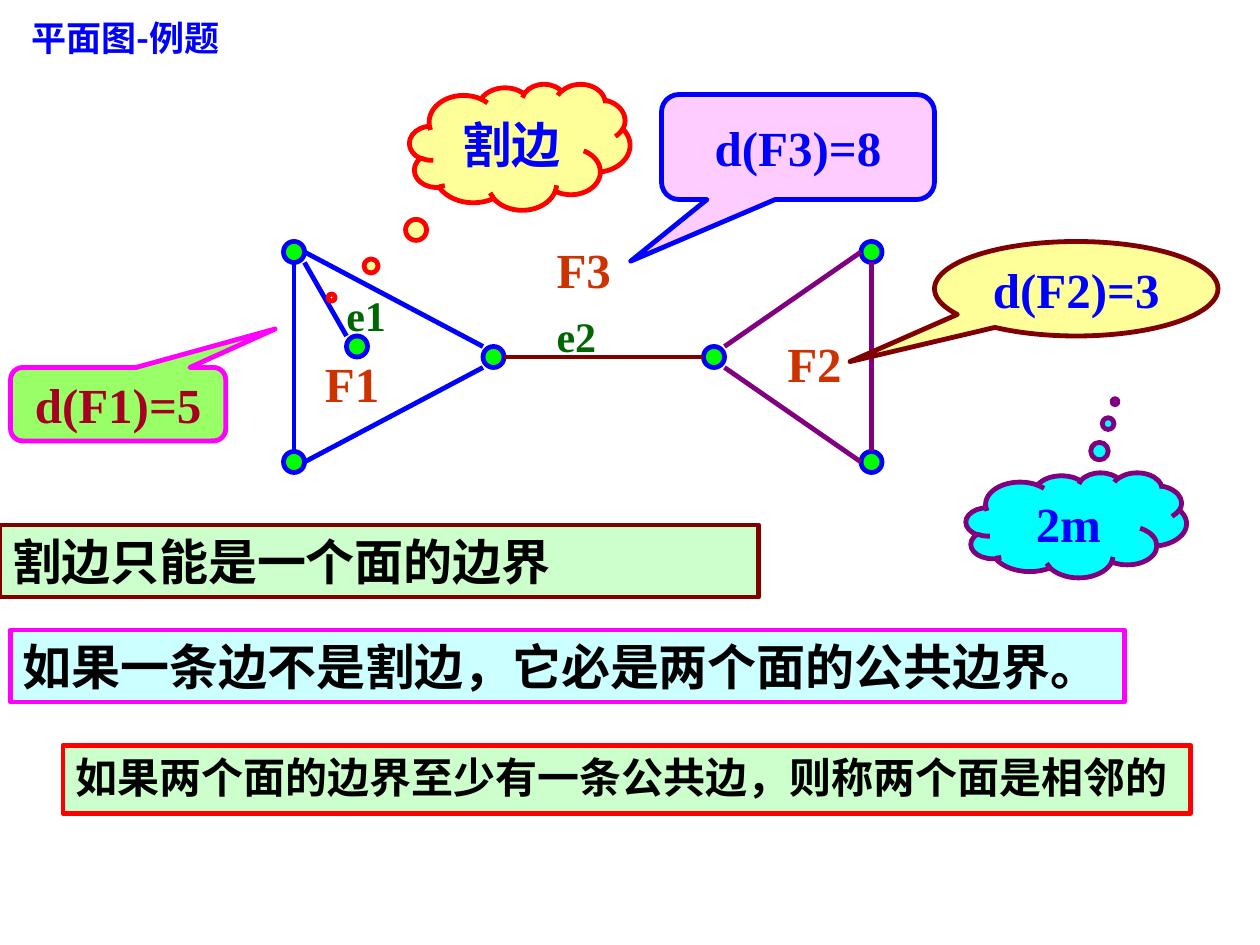
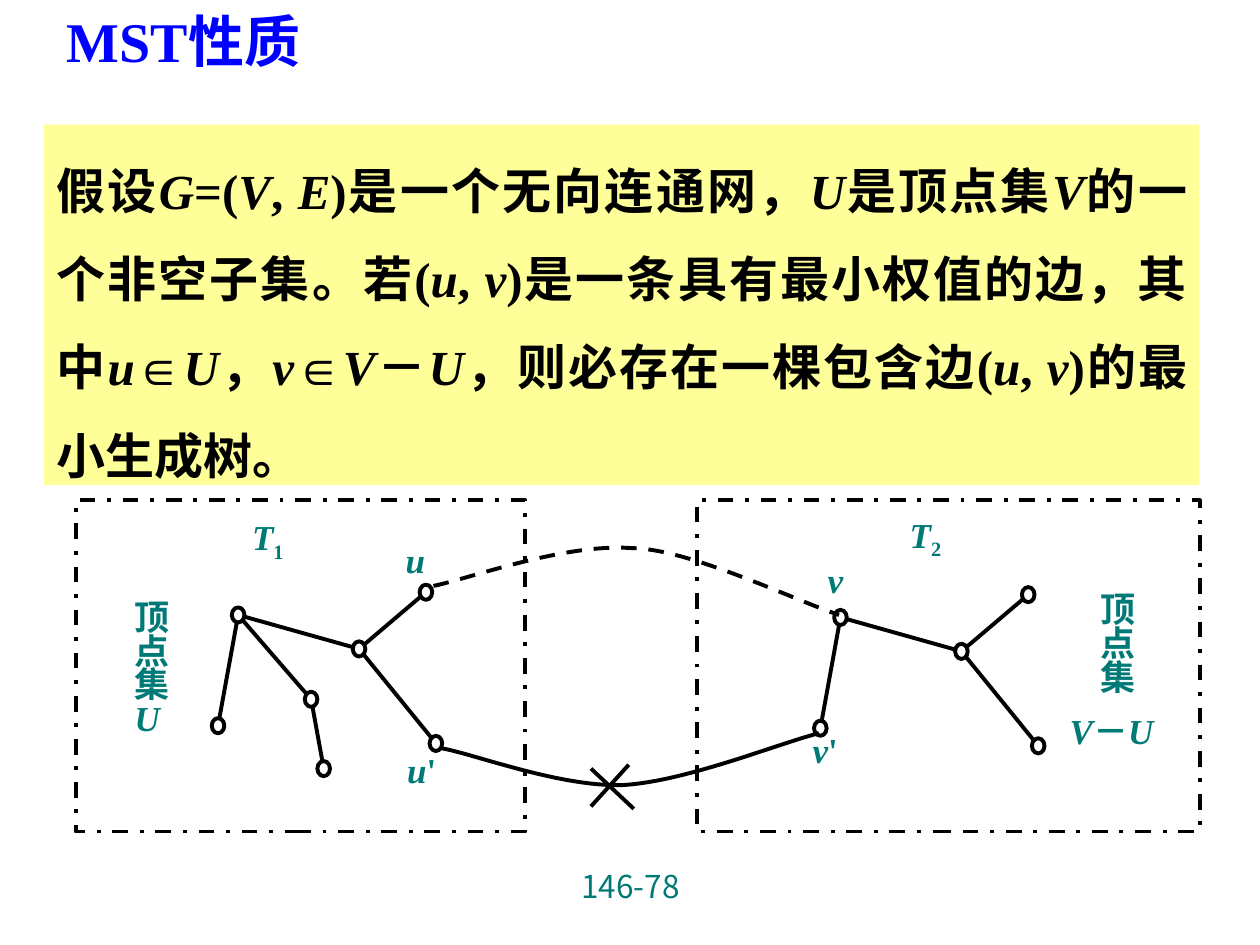
from math import hypot

from lxml import etree
from pptx import Presentation
from pptx import util as u
from pptx.dml.color import RGBColor
from pptx.enum import dml, shapes, text
from pptx.oxml.ns import qn

Pt = u.Pt
Kind = shapes.MSO_SHAPE
Mid, Top = text.MSO_ANCHOR.MIDDLE, text.MSO_ANCHOR.TOP
Left, Center, Just = text.PP_ALIGN.LEFT, text.PP_ALIGN.CENTER, text.PP_ALIGN.JUSTIFY
Dash = dml.MSO_LINE


class Theme:
    blue, black, teal = "0000FF", "000000", "007A77"
    green, leaf, rust, wine = "00FF00", "006600", "CC3300", "A50021"
    maroon, purple, red, pink = "800000", "800080", "FF0000", "FF00FF"
    cream, mint, ice, aqua = "FFFF99", "CCFFCC", "CCFFFF", "00FFFF"
    lime, rose = "99FF66", "FFCCFF"
    serif, sans, page, plain = "Times New Roman", "Noto Sans CJK SC", "Noto Sans CJK JP", "Arial"
    small, note, body, mark, head = 18, 20, 28, 24, 32
    thick, thin = 2.75, 2.25


T = Theme

FACE = dict(
    title=("平面图-例题", (10.8, 5.8, 193, 31)),
    nodes=dict(a=(168, 144), b=(168, 264), c=(282, 204), d=(408, 204),
               e=(498, 144), f=(498, 264), p=(204, 198)),
    edges=[("a", "s", "b", "n", T.blue), ("b", "e", "c", "sw", T.blue),
           ("a", "e", "c", "nw", T.blue), ("a", "se", "p", "nw", T.blue),
           ("c", "e", "d", "w", T.maroon), ("d", "ne", "e", "w", T.purple),
           ("d", "se", "f", "w", T.purple), ("e", "s", "f", "n", T.purple)],
    tags=[("e1", 190.8, 162, T.mark, T.leaf), ("e2", 311, 174.2, T.mark, T.leaf),
          ("F1", 178.6, 198.7, T.body, T.rust), ("F2", 442.8, 187.2, T.body, T.rust),
          ("F3", 311, 133.2, T.body, T.rust)],
    calls=[
        ("割边", Kind.CLOUD_CALLOUT, (234, 48, 126, 72), (-0.854, 1.196),
         T.cream, T.red, T.blue, T.plain),
        ("d(F2)=3", Kind.OVAL_CALLOUT, (534, 138, 162, 54), (-0.798, 0.771),
         T.cream, T.maroon, T.blue, T.serif),
        ("d(F1)=5", Kind.ROUNDED_RECTANGULAR_CALLOUT, (6, 210, 123, 42), (0.73, -1.024, 0.167),
         T.lime, T.pink, T.wine, T.serif),
        ("d(F3)=8", Kind.ROUNDED_RECTANGULAR_CALLOUT, (378, 54, 156, 60), (-0.613, 1.087, 0.167),
         T.rose, T.blue, T.blue, T.serif),
        ("2m", Kind.CLOUD_CALLOUT, (552, 270, 126, 60), (0.176, -1.175),
         T.aqua, T.purple, T.blue, T.serif)],
    rules=[("割边只能是一个面的边界", (0, 300, 433.5, 41.2), T.mint, T.maroon, T.body),
           ("如果一条边不是割边，它必是两个面的公共边界。", (6, 360, 636.5, 41.2),
            T.ice, T.pink, T.body),
           ("如果两个面的边界至少有一条公共边，则称两个面是相邻的", (36, 426, 644.4, 38.9),
            T.mint, T.red, T.mark)],
)

MST = dict(
    title=("MST性质", (31, 0, 221.8, 45.4)),
    claim=("假设*G*=(*V*, *E*)是一个无向连通网，*U*是顶点集*V*的一个非空子集。"
           "若(*u*, *v*)是一条具有最小权值的边，其中*u*∈*U*，*v*∈*V*－*U*，"
           "则必存在一棵包含边(*u*, *v*)的最小生成树。", (25.2, 71.3, 660.2, 205.9)),
    frames=[(43.2, 285.8, 257, 189.4), (398.2, 285.8, 287.3, 189.4)],
    nodes=dict(top=(243.4, 338.4), low=(249.1, 424.8), hub=(205.2, 370.8),
               root=(136.1, 351.4), leaf=(124.6, 414.7),
               joint=(177.8, 399.6), tip=(185, 439.2)),
    edges=["hub top", "hub low", "root leaf", "root hub", "root joint", "joint tip"],
    only=("joint", "tip"),
    shift=(344.2, 1.4),
    curves=[([(252.7, 427.7), (270, 430.6), (320.4, 450), (356.4, 448.6),
              (392.4, 446.4), (445, 424.8), (468, 419)], None),
            ([(247.7, 334.8), (266.4, 331.2), (322.6, 310.3), (360.7, 313.2),
              (393.1, 313.2), (455, 343.4), (479.5, 351.4)], Dash.DASH)],
    cross=[(337.7, 439.2, 362.2, 462.2), (359.3, 437, 337.7, 460.8)],
    tags=[("*T*_1", (144, 298.8, 41.8, 18), Left, 0.72),
          ("*T*_2", (519.8, 297.4, 41, 18), Left, 0.72),
          ("*u*", (231.8, 313.9, 20.2, 18), Left, 0.72),
          ("*u*'", (232.6, 435.6, 21.6, 15.1), Left, 0.64),
          ("*v*", (473, 325.4, 21.6, 16.6), Left, 0.72),
          ("*v*'", (464.4, 422.6, 24.5, 18), Left, 0.72),
          ("顶点集*U*", (77, 344.9, 24.5, 79.2), Just, 0.8),
          ("顶点集", (628.6, 340.6, 20.2, 60.5), Just, 0.8),
          ("*V*－*U*", (611.3, 404.6, 76.3, 24.5), Just, 1.04)],
    page=("146-78", (246.2, 491.8, 228.2, 37.4)),
)


def runs(para, txt):
    for i, part in enumerate(txt.split("*")):
        for j, bit in enumerate(part.split("_")):
            if bit:
                run = para.add_run()
                run.text = bit
                run.font.italic = i % 2 == 1
                if j:
                    run.font._element.set("baseline", "-25000")


def write(box, txt, size, color, font=T.serif, bold=True, al=Left, gap=None,
          before=False, inset=(7.2, 3.6), wrap=True, anchor=Top):
    frame = box.text_frame
    frame.word_wrap = wrap
    frame.vertical_anchor = anchor
    frame.margin_left = frame.margin_right = Pt(inset[0])
    frame.margin_top = frame.margin_bottom = Pt(inset[1])
    para = frame.paragraphs[0]
    para.alignment = al
    if gap:
        para.line_spacing = gap
    if before:
        space = etree.SubElement(para._p.get_or_add_pPr(), qn("a:spcBef"))
        etree.SubElement(space, qn("a:spcPct")).set("val", "50000")
    runs(para, txt)
    for run in para.runs:
        face = run.font
        face.size, face.bold, face.name = Pt(size), bold, font
        face.color.rgb = RGBColor.from_string(color)
        east = T.page if font == T.page else T.sans
        etree.SubElement(face._element, qn("a:ea")).set("typeface", east)


def stroke(line, color, width, dash=None):
    line.color.rgb = RGBColor.from_string(color)
    line.width = Pt(width)
    if dash:
        line.dash_style = dash


def shape(page, kind, at, fill=None, edge=None, width=T.thick, dash=None):
    item = page.shapes.add_shape(kind, *map(Pt, at))
    item.shadow.inherit = False
    if fill:
        item.fill.solid()
        item.fill.fore_color.rgb = RGBColor.from_string(fill)
    else:
        item.fill.background()
    if edge:
        stroke(item.line, edge, width, dash)
    else:
        item.line.fill.background()
    return item


def label(page, at, txt, size, color, **more):
    write(page.shapes.add_textbox(*map(Pt, at)), txt, size, color, **more)


def link(page, ends, color, width):
    item = page.shapes.add_connector(shapes.MSO_CONNECTOR.STRAIGHT, *map(Pt, ends))
    stroke(item.line, color, width)
    etree.SubElement(item._element.spPr, qn("a:effectLst"))


def dot(page, mid, w, h, fill, edge, width):
    shape(page, Kind.OVAL, (mid[0] - w / 2, mid[1] - h / 2, w, h), fill, edge, width)


def port(mid, side, r=6):
    return (mid[0] + r * (("e" in side) - ("w" in side)),
            mid[1] + r * (("s" in side) - ("n" in side)))


def rim(a, b, w, h):
    dx, dy = b[0] - a[0], b[1] - a[1]
    k = 1 / hypot(dx / (w / 2), dy / (h / 2))
    return a[0] + k * dx, a[1] + k * dy


def bend(four, t):
    s = 1 - t
    load = (s ** 3, 3 * s * s * t, 3 * s * t * t, t ** 3)
    return tuple(Pt(sum(k * p[i] for k, p in zip(load, four))) for i in (0, 1))


def curve(page, pts, dash, steps=24):
    way = [bend(pts[i:i + 4], n / steps)
           for i in range(0, len(pts) - 1, 3) for n in range(1, steps + 1)]
    form = page.shapes.build_freeform(*map(Pt, pts[0]), scale=1.0)
    form.add_line_segments(way, close=False)
    item = form.convert_to_shape()
    item.shadow.inherit = False
    item.fill.background()
    stroke(item.line, T.black, T.thin, dash)


def draw_face(page):
    txt, at = FACE["title"]
    label(page, at, txt, T.note, T.blue, font=T.sans)
    nodes = FACE["nodes"]
    for mid in nodes.values():
        dot(page, mid, 12, 12, T.green, T.blue, T.thick)
    for a, out, b, into, color in FACE["edges"]:
        link(page, port(nodes[a], out) + port(nodes[b], into), color, T.thick)
    for txt, x, y, size, color in FACE["tags"]:
        label(page, (x, y, 48, 1.5 * size), txt, size, color)
    for txt, kind, at, adj, fill, edge, ink, font in FACE["calls"]:
        item = shape(page, kind, at, fill, edge)
        for i, val in enumerate(adj):
            item.adjustments[i] = val
        write(item, txt, T.body, ink, font, al=Center, anchor=Mid)
    for txt, at, fill, edge, size in FACE["rules"]:
        item = shape(page, Kind.RECTANGLE, at, fill, edge)
        write(item, txt, size, T.black, T.sans, wrap=False)


def draw_tree(page, nodes, w=7.2, h=8.64):
    for mid in nodes.values():
        dot(page, mid, w, h, None, T.black, T.thin)
    for pair in MST["edges"]:
        a, b = map(nodes.get, pair.split())
        if a and b:
            link(page, rim(a, b, w, h) + rim(b, a, w, h), T.black, T.thin)


def draw_mst(page):
    txt, at = MST["page"]
    label(page, at, txt, T.small, T.teal, font=T.page, bold=False, al=Center)
    txt, at = MST["title"]
    label(page, at, txt, T.head, T.blue, before=True)
    txt, at = MST["claim"]
    item = shape(page, Kind.RECTANGLE, at, T.cream)
    write(item, txt, T.body, T.black, al=Just, gap=1.5, before=True)
    for at in MST["frames"]:
        shape(page, Kind.RECTANGLE, at, None, T.black, T.thin, Dash.DASH_DOT)
    for pts, dash in MST["curves"]:
        curve(page, pts, dash)
    for ends in MST["cross"]:
        link(page, ends, T.black, T.thin)
    dx, dy = MST["shift"]
    draw_tree(page, MST["nodes"])
    draw_tree(page, {name: (x + dx, y + dy) for name, (x, y) in MST["nodes"].items()
                     if name not in MST["only"]})
    for txt, at, al, gap in MST["tags"]:
        label(page, at, txt, T.note, T.teal, al=al, gap=gap, inset=(0, 0))


def main():
    deck = Presentation()
    deck.slide_width, deck.slide_height = Pt(720), Pt(540)
    for draw in (draw_face, draw_mst):
        draw(deck.slides.add_slide(deck.slide_layouts[6]))
    deck.save("out.pptx")


if __name__ == "__main__":
    main()
